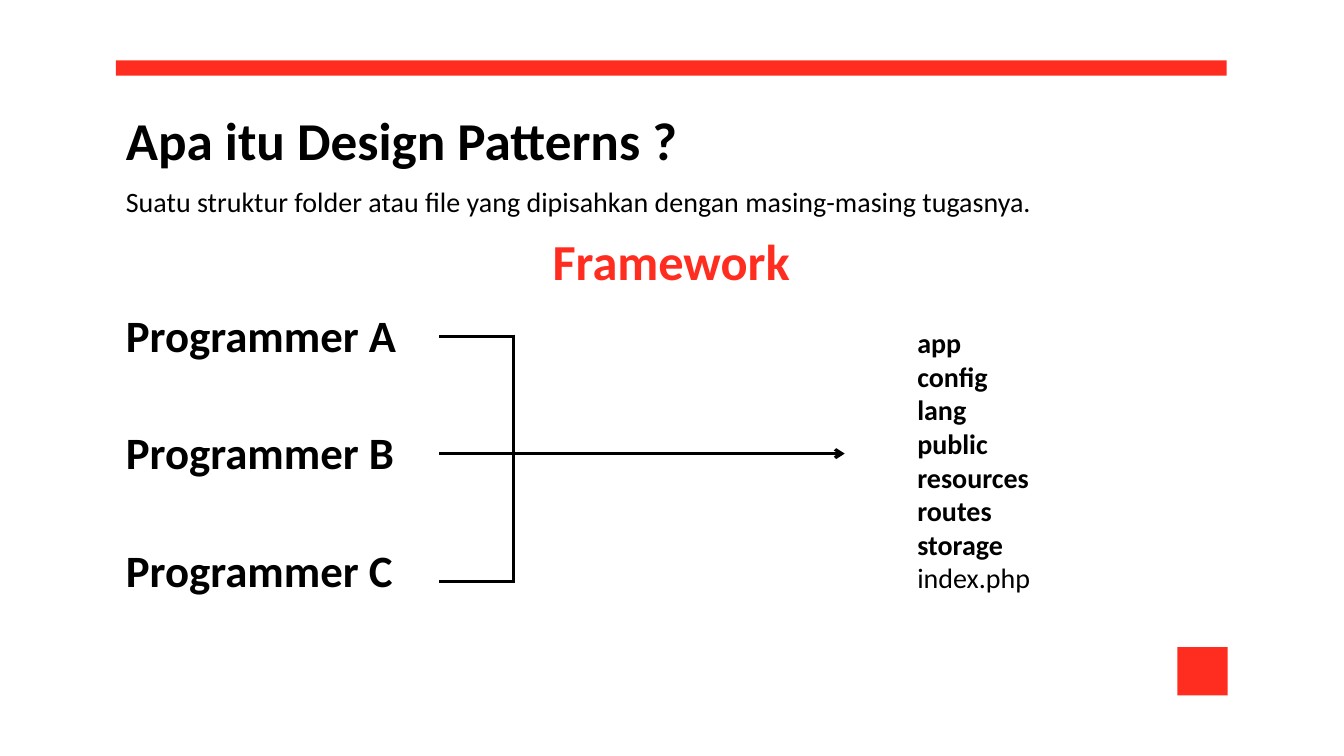
from lxml import etree
from pptx import Presentation
from pptx.dml.color import RGBColor
from pptx.enum.shapes import MSO_CONNECTOR, MSO_SHAPE
from pptx.enum.text import MSO_ANCHOR, MSO_AUTO_SIZE, PP_ALIGN
from pptx.oxml.ns import qn
from pptx.util import Pt

BLACK = RGBColor(0x00, 0x00, 0x00)
RED = RGBColor(0xFF, 0x2D, 0x20)
WHITE = RGBColor(0xFF, 0xFF, 0xFF)
FONT = "Calibri"
LEFT, CENTER = PP_ALIGN.LEFT, PP_ALIGN.CENTER
TOP, NO_FIT = MSO_ANCHOR.TOP, MSO_AUTO_SIZE.NONE
RECT, STRAIGHT = MSO_SHAPE.RECTANGLE, MSO_CONNECTOR.STRAIGHT

MARGIN, CONTENT_WIDTH = 82.8, 793.4
FOLDERS = ["app", "config", "lang", "public", "resources", "routes", "storage"]


def place(sp, left, top, width, height):
    sp.left, sp.top, sp.width, sp.height = Pt(left), Pt(top), Pt(width), Pt(height)


def write(p, text, size=20, bold=False, color=BLACK, align=LEFT):
    """Put text in a paragraph without bullet, indent or extra spacing."""
    pPr = p._p.get_or_add_pPr()
    pPr.set("marL", "0")
    pPr.set("indent", "0")
    etree.SubElement(pPr, qn("a:buNone"))
    p.alignment = align
    p.space_before = Pt(0)
    r = p.add_run()
    r.text = text
    r.font.name, r.font.size, r.font.bold = FONT, Pt(size), bold
    r.font.color.rgb = color


def prepare_frame(sp):
    tf = sp.text_frame
    tf.word_wrap = True
    tf.auto_size = NO_FIT
    tf.vertical_anchor = TOP
    return tf


def add_text(slide, text, left, top, width, height, **fmt):
    sp = slide.shapes.add_textbox(Pt(left), Pt(top), Pt(width), Pt(height))
    write(prepare_frame(sp).paragraphs[0], text, **fmt)


def add_bar(slide, left, top, width, height):
    sp = slide.shapes.add_shape(RECT, Pt(left), Pt(top), Pt(width), Pt(height))
    sp.shadow.inherit = False
    sp.fill.solid()
    sp.fill.fore_color.rgb = RED
    sp.line.fill.background()


def add_line(slide, x1, y1, x2, y2, arrow=False):
    cxn = slide.shapes.add_connector(STRAIGHT, Pt(x1), Pt(y1), Pt(x2), Pt(y2))
    cxn.line.color.rgb = BLACK
    cxn.line.width = Pt(2.25)
    if arrow:
        etree.SubElement(cxn.line._get_or_add_ln(), qn("a:tailEnd"), type="arrow")
    etree.SubElement(cxn._element.spPr, qn("a:effectLst"))


def main():
    prs = Presentation()
    prs.slide_width, prs.slide_height = Pt(960), Pt(540)
    slide = prs.slides.add_slide(prs.slide_layouts[1])
    slide.background.fill.solid()
    slide.background.fill.fore_color.rgb = WHITE
    title, body = slide.placeholders

    # Heading
    add_bar(slide, MARGIN, 43.2, CONTENT_WIDTH, 10.8)
    place(title, MARGIN, 72.7, CONTENT_WIDTH, 53.3)
    write(prepare_frame(title).paragraphs[0], "Apa itu Design Patterns ?", size=38, bold=True)
    add_text(slide, "Suatu struktur folder atau file yang dipisahkan dengan masing-masing tugasnya.",
             MARGIN, 128.2, CONTENT_WIDTH, 31.7)
    add_text(slide, "Framework", MARGIN, 160.6, CONTENT_WIDTH, 51.1,
             size=36, bold=True, color=RED, align=CENTER)

    # Programmers
    for i, letter in enumerate("ABC"):
        add_text(slide, f"Programmer {letter}", MARGIN, 216 + 84 * i, 257, 46.1,
                 size=32, bold=True)

    # Bracket and arrow
    bracket_left, bracket_right, middle = 313.9, 367, 324
    add_line(slide, 366.5, 239, 366.5, 416.2)
    for y in (240.5, middle, 415.4):
        add_line(slide, bracket_left, y, bracket_right, y)
    add_line(slide, bracket_right, middle, 603.4, middle, arrow=True)

    # Folder list
    place(body, 648, 229, 205.2, 200.9)
    tf = prepare_frame(body)
    for i, name in enumerate(FOLDERS + ["index.php"]):
        p = tf.add_paragraph() if i else tf.paragraphs[0]
        write(p, name, bold=name in FOLDERS)

    # Corner square
    add_bar(slide, 841, 462.2, 36, 34.6)

    prs.save("out.pptx")


if __name__ == "__main__":
    main()
